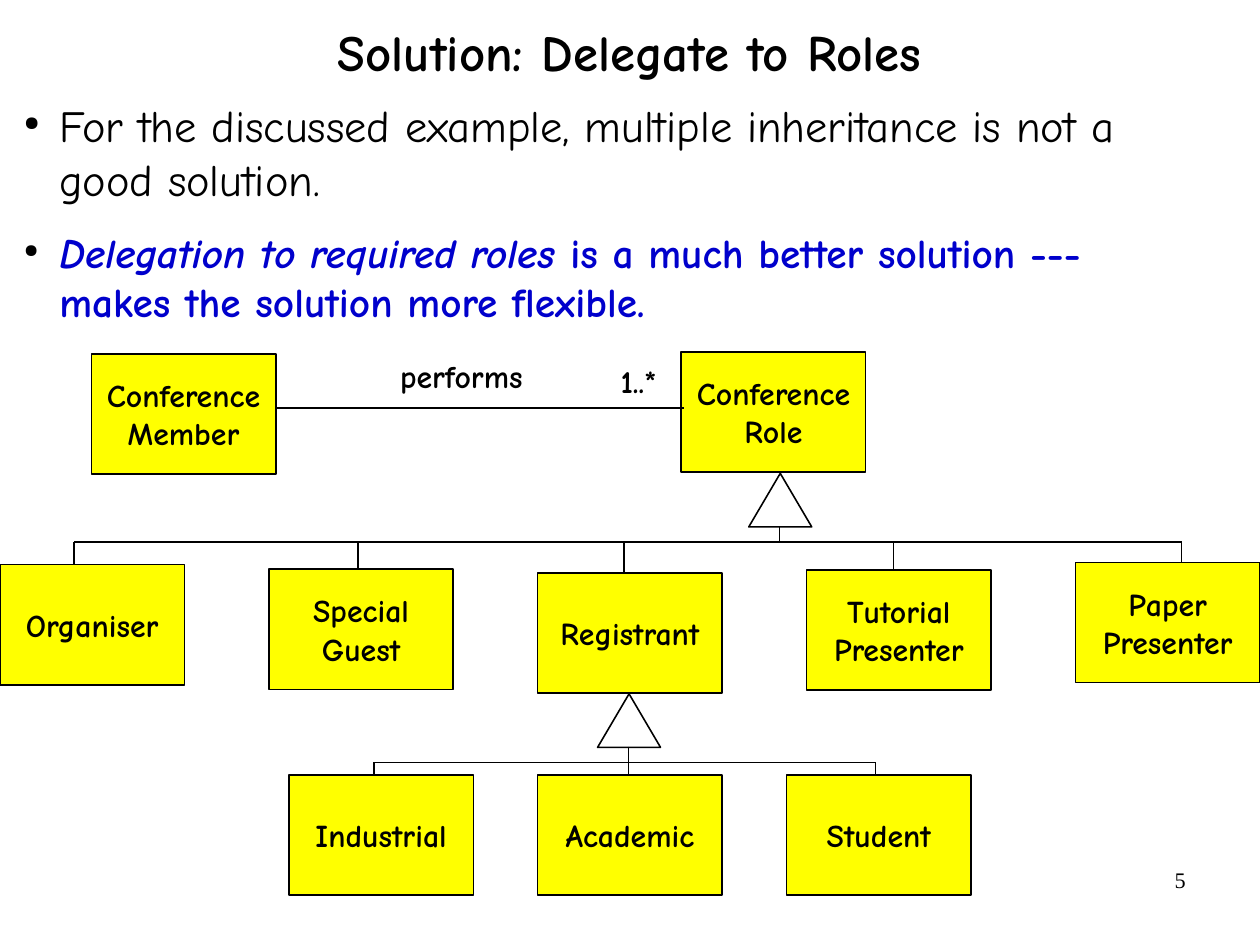
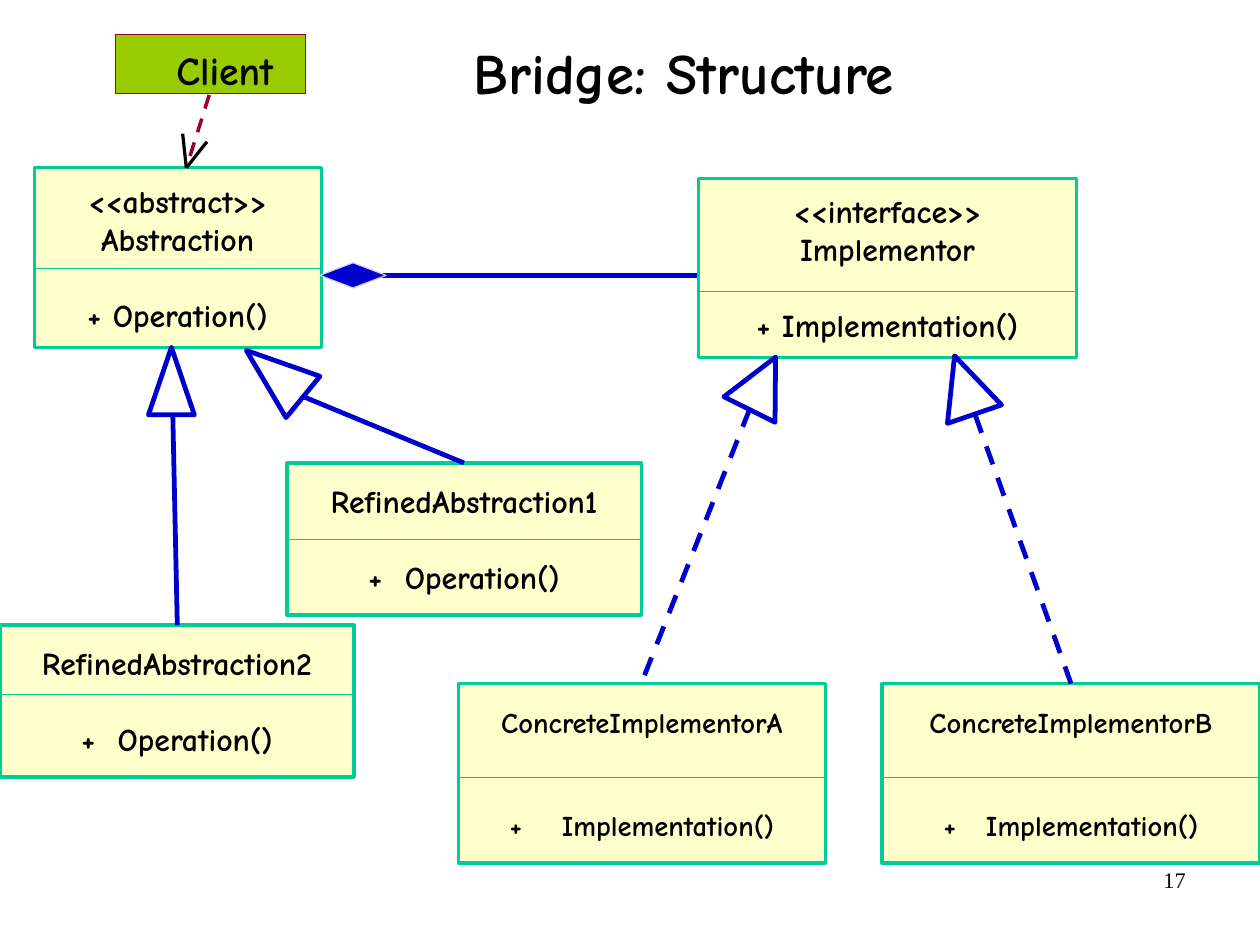
from dataclasses import dataclass

import pptx
import pptx.dml.color
import pptx.enum.dml
import pptx.enum.shapes
import pptx.enum.text
import pptx.oxml.ns
import pptx.util
from lxml import etree
from pptx.util import Cm, Pt

# Shared look
WIDTH, HEIGHT = 28.0, 21.0
FONT, NUMBER_FONT = "Comic Neue", "Times New Roman"
BLACK, WHITE, BLUE = "000000", "FFFFFF", "0000CC"
YELLOW, CREAM, TEAL, DIVIDER = "FFFF00", "FFFFCC", "00CC99", "00CC98"
GREEN, MAROON, LAVENDER = "99CC00", "990033", "CCCCFF"
WIDE_INSETS = (0.28, 0.15, 0.28, 0.15)
TEXT_INSETS = (0.28, 0.13, 0.28, 0.13)
NUMBER_INSETS = (0.25, 0.13, 0.25, 0.13)

Align = pptx.enum.text.PP_ALIGN
Anchor = pptx.enum.text.MSO_ANCHOR
Preset = pptx.enum.shapes.MSO_SHAPE


@dataclass
class Area:
    """A rectangle in centimetres."""
    left: float
    top: float
    width: float
    height: float

    def lengths(self):
        return Cm(self.left), Cm(self.top), Cm(self.width), Cm(self.height)


@dataclass
class Line:
    """A straight line between two points in centimetres."""
    x1: float
    y1: float
    x2: float
    y2: float
    color: str = BLACK
    weight: float = 1
    dashed: bool = False


@dataclass
class Triangle:
    area: Area
    rotation: float = 0
    color: str = BLACK
    weight: float = 1


@dataclass
class ClassBox:
    """A class with its heading lines, a divider and one operation."""
    area: Area
    divider: float
    heading: list[str]
    operation: str
    size: float = 20
    gap: float = 24
    sign_spacing: float = 0


# Drawing helpers
def color_of(hex_text: str):
    return pptx.dml.color.RGBColor.from_string(hex_text)


def set_font(font, size: float, color: str = BLACK, bold: bool = True, name: str = FONT) -> None:
    font.name = name
    font.size = Pt(size)
    font.bold = bold
    font.color.rgb = color_of(color)


def set_frame(frame, insets, anchor=Anchor.TOP, wrap: bool = True) -> None:
    frame.margin_left, frame.margin_top, frame.margin_right, frame.margin_bottom = map(Cm, insets)
    frame.vertical_anchor = anchor
    frame.word_wrap = wrap
    frame.auto_size = pptx.enum.text.MSO_AUTO_SIZE.NONE


def add_paragraphs(frame, lines: list[str], size: float, align=Align.CENTER,
                   bold: bool = True, name: str = FONT) -> None:
    for index, text in enumerate(lines):
        paragraph = frame.add_paragraph() if index else frame.paragraphs[0]
        paragraph.text = text
        paragraph.alignment = align
        set_font(paragraph.font, size, bold=bold, name=name)


def add_label(slide, area: Area, text: str, size: float = 20, align=Align.LEFT,
              insets=WIDE_INSETS, bold: bool = True, name: str = FONT) -> None:
    frame = slide.shapes.add_textbox(*area.lengths()).text_frame
    set_frame(frame, insets, wrap=False if align == Align.LEFT else True)
    add_paragraphs(frame, [text], size, align, bold, name)


def add_preset(slide, preset, area: Area, fill: str, color: str, weight: float):
    shape = slide.shapes.add_shape(preset, *area.lengths())
    shape.shadow.inherit = False
    shape.fill.solid()
    shape.fill.fore_color.rgb = color_of(fill)
    shape.line.color.rgb = color_of(color)
    shape.line.width = Pt(weight)
    return shape


def add_line(slide, line: Line) -> None:
    connector = slide.shapes.add_connector(
        pptx.enum.shapes.MSO_CONNECTOR.STRAIGHT,
        Cm(line.x1), Cm(line.y1), Cm(line.x2), Cm(line.y2))
    connector.line.color.rgb = color_of(line.color)
    connector.line.width = Pt(line.weight)
    if line.dashed:
        connector.line.dash_style = pptx.enum.dml.MSO_LINE.DASH
    etree.SubElement(connector._element.spPr, pptx.oxml.ns.qn("a:effectLst"))


def add_triangle(slide, triangle: Triangle) -> None:
    shape = add_preset(slide, Preset.ISOSCELES_TRIANGLE, triangle.area,
                       WHITE, triangle.color, triangle.weight)
    shape.rotation = triangle.rotation


def add_role_box(slide, left: float, top: float, lines: list[str]) -> None:
    shape = add_preset(slide, Preset.RECTANGLE, Area(left, top, ROLE_WIDTH, ROLE_HEIGHT),
                       YELLOW, BLACK, 1)
    set_frame(shape.text_frame, WIDE_INSETS, Anchor.MIDDLE, wrap=False)
    add_paragraphs(shape.text_frame, lines, 20)


def add_class_box(slide, box: ClassBox) -> None:
    area = box.area
    shape = add_preset(slide, Preset.RECTANGLE, area, CREAM, TEAL, 2)
    frame = shape.text_frame
    set_frame(frame, NUMBER_INSETS, Anchor.MIDDLE, wrap=False)
    add_paragraphs(frame, box.heading, box.size)
    # The operation stands below the divider, its sign spaced out from its name
    paragraph = frame.add_paragraph()
    paragraph.alignment = Align.CENTER
    paragraph.space_before = Pt(box.gap)
    set_font(paragraph.font, box.size)
    sign = paragraph.add_run()
    sign.text = "+ "
    if box.sign_spacing:
        sign._r.get_or_add_rPr().set("spc", str(round(box.sign_spacing * 100)))
    paragraph.add_run().text = box.operation
    add_line(slide, Line(area.left, box.divider, area.left + area.width, box.divider,
                         DIVIDER, 0.75))


def add_bullet(paragraph) -> None:
    properties = paragraph._p.get_or_add_pPr()
    properties.set("marL", str(Cm(0.79)))
    properties.set("indent", str(-Cm(0.79)))
    bullet_color = etree.SubElement(properties, pptx.oxml.ns.qn("a:buClr"))
    etree.SubElement(bullet_color, pptx.oxml.ns.qn("a:srgbClr"), val=BLACK)
    etree.SubElement(properties, pptx.oxml.ns.qn("a:buSzPct"), val="45000")
    etree.SubElement(properties, pptx.oxml.ns.qn("a:buChar"), char="●")


def add_titled_slide(presentation, title: str, area: Area, size: float, anchor, number: int):
    slide = presentation.slides.add_slide(presentation.slide_layouts[5])
    shape = slide.shapes.title
    shape.left, shape.top, shape.width, shape.height = area.lengths()
    set_frame(shape.text_frame, TEXT_INSETS, anchor)
    add_paragraphs(shape.text_frame, [title], size)
    shape.text_frame.paragraphs[0].line_spacing = 0.88
    add_label(slide, Area(20.07, 19.13, 6.53, 1.45), str(number), 14, Align.RIGHT,
              NUMBER_INSETS, False, NUMBER_FONT)
    return slide


# Roles slide
ROLE_WIDTH, ROLE_HEIGHT = 4.1, 2.67
ROLE_STEP = (WIDTH - ROLE_WIDTH) / 4
ROLE_BUS, KIND_BUS, KIND_TOP = 12.04, 16.94, 17.22
# Box top, x of the line down to it, wording
ROLES = [
    (12.55, 1.65, ["Organiser"]),
    (12.65, 7.95, ["Special", "Guest"]),
    (12.73, 13.87, ["Registrant"]),
    (12.67, 19.86, ["Tutorial", "Presenter"]),
    (12.5, 26.26, ["Paper", "Presenter"]),
]
ROLE_LINES = [
    Line(6.12, 9.07, 15.19, 9.07),
    Line(1.65, ROLE_BUS, 26.26, ROLE_BUS),
    Line(17.32, 11.71, 17.32, ROLE_BUS),
    Line(8.31, KIND_BUS, 19.46, KIND_BUS),
    Line(13.97, 16.59, 13.97, KIND_TOP),
    Line(8.31, KIND_BUS, 8.31, KIND_TOP),
    Line(19.46, KIND_BUS, 19.46, KIND_TOP),
]


def build_roles_slide(presentation) -> None:
    slide = add_titled_slide(presentation, "Solution: Delegate to Roles",
                             Area(0, 0, WIDTH, 2.46), 32, Anchor.MIDDLE, 5)
    # Bulleted text
    frame = slide.shapes.add_textbox(*Area(0.25, 2.06, 26.72, 5.31).lengths()).text_frame
    set_frame(frame, TEXT_INSETS)
    problem, answer = frame.paragraphs[0], frame.add_paragraph()
    for paragraph in (problem, answer):
        paragraph.space_after = Pt(13.8)
        add_bullet(paragraph)
    problem.text = "For the discussed example, multiple inheritance is not a good solution."
    set_font(problem.font, 28, bold=False)
    emphasis = answer.add_run()
    emphasis.text = "Delegation to required roles"
    emphasis.font.italic = True
    answer.add_run().text = " is a much better solution --- makes the solution more flexible."
    set_font(answer.font, 26, BLUE)

    # Class diagram
    add_role_box(slide, 2.03, 7.87, ["Conference", "Member"])
    add_role_box(slide, 15.14, 7.82, ["Conference", "Role"])
    add_label(slide, Area(8.61, 7.77, 3.3, 1.12), "performs")
    add_label(slide, Area(13.51, 7.9, 1.37, 1.12), "1..*")
    for column, (top, drop, lines) in enumerate(ROLES):
        add_role_box(slide, column * ROLE_STEP, top, lines)
        add_line(slide, Line(drop, ROLE_BUS, drop, top))
    for column, kind in enumerate(["Industrial", "Academic", "Student"]):
        add_role_box(slide, 6.42 + 5.53 * column, KIND_TOP, [kind])
    for left, top in [(16.64, 10.52), (13.28, 15.42)]:
        add_triangle(slide, Triangle(Area(left, top, 1.4, 1.19)))
    for line in ROLE_LINES:
        add_line(slide, line)


# Bridge slide
CLASS_BOXES = [
    ClassBox(Area(0.76, 3.73, 6.38, 3.99), 5.97, ["<<abstract>>", "Abstraction"], "Operation()"),
    ClassBox(Area(15.52, 3.96, 8.41, 3.99), 6.48, ["<<interface>>", "Implementor"],
             "Implementation()"),
    ClassBox(Area(6.38, 10.29, 7.87, 3.38), 11.99, ["RefinedAbstraction1"], "Operation()",
             sign_spacing=3.5),
    ClassBox(Area(0, 13.89, 7.87, 3.38), 15.44, ["RefinedAbstraction2"], "Operation()",
             sign_spacing=3.5),
    ClassBox(Area(10.19, 15.19, 8.15, 3.99), 17.27, ["ConcreteImplementorA"],
             "Implementation()", 18, 43.5, 9.3),
    ClassBox(Area(19.6, 15.19, 8.4, 3.99), 17.27, ["ConcreteImplementorB"],
             "Implementation()", 18, 43.5, 6.2),
]
INHERITANCE_TRIANGLES = [
    Triangle(Area(3.3, 7.72, 1.02, 1.5), 0, BLUE, 3),
    Triangle(Area(16.31, 7.87, 1.27, 1.3), 26.5, BLUE, 3),
    Triangle(Area(20.8, 7.87, 1.27, 1.37), 341.1, BLUE, 3),
    Triangle(Area(5.51, 7.49, 1.19, 1.63), 309.4, BLUE, 3),
]
BRIDGE_LINES = [
    Line(3.84, 9.22, 3.94, 13.89, BLUE, 3),
    Line(6.73, 8.81, 10.31, 10.29, BLUE, 3),
    Line(8.36, 6.12, 15.49, 6.12, BLUE, 3),
    Line(16.66, 9.09, 14.25, 15.19, BLUE, 3, True),
    Line(21.67, 9.22, 23.8, 15.19, BLUE, 3, True),
    # Client dependency with its open arrowhead
    Line(4.65, 2.11, 4.14, 3.73, MAROON, 2.25, True),
    Line(4.14, 3.73, 4.6, 3.15, weight=0),
    Line(4.14, 3.73, 4.06, 2.97, weight=0),
]


def build_bridge_slide(presentation) -> None:
    slide = add_titled_slide(presentation, "Bridge: Structure",
                             Area(3.25, -0.48, 23.88, 2.97), 36, Anchor.BOTTOM, 17)
    for box in CLASS_BOXES:
        add_class_box(slide, box)
    for triangle in INHERITANCE_TRIANGLES:
        add_triangle(slide, triangle)
    for line in BRIDGE_LINES:
        add_line(slide, line)
    add_preset(slide, Preset.DIAMOND, Area(7.11, 5.84, 1.47, 0.56), BLUE, LAVENDER, 0.75)
    client = add_preset(slide, Preset.RECTANGLE, Area(2.57, 0.76, 4.22, 1.32), GREEN, MAROON, 0)
    set_frame(client.text_frame, (1.35, 0.25, 0, 0))
    add_paragraphs(client.text_frame, ["Client"], 25, Align.LEFT)


def main() -> None:
    presentation = pptx.Presentation()
    presentation.slide_width, presentation.slide_height = Cm(WIDTH), Cm(HEIGHT)
    build_roles_slide(presentation)
    build_bridge_slide(presentation)
    presentation.save("out.pptx")


if __name__ == "__main__":
    main()
